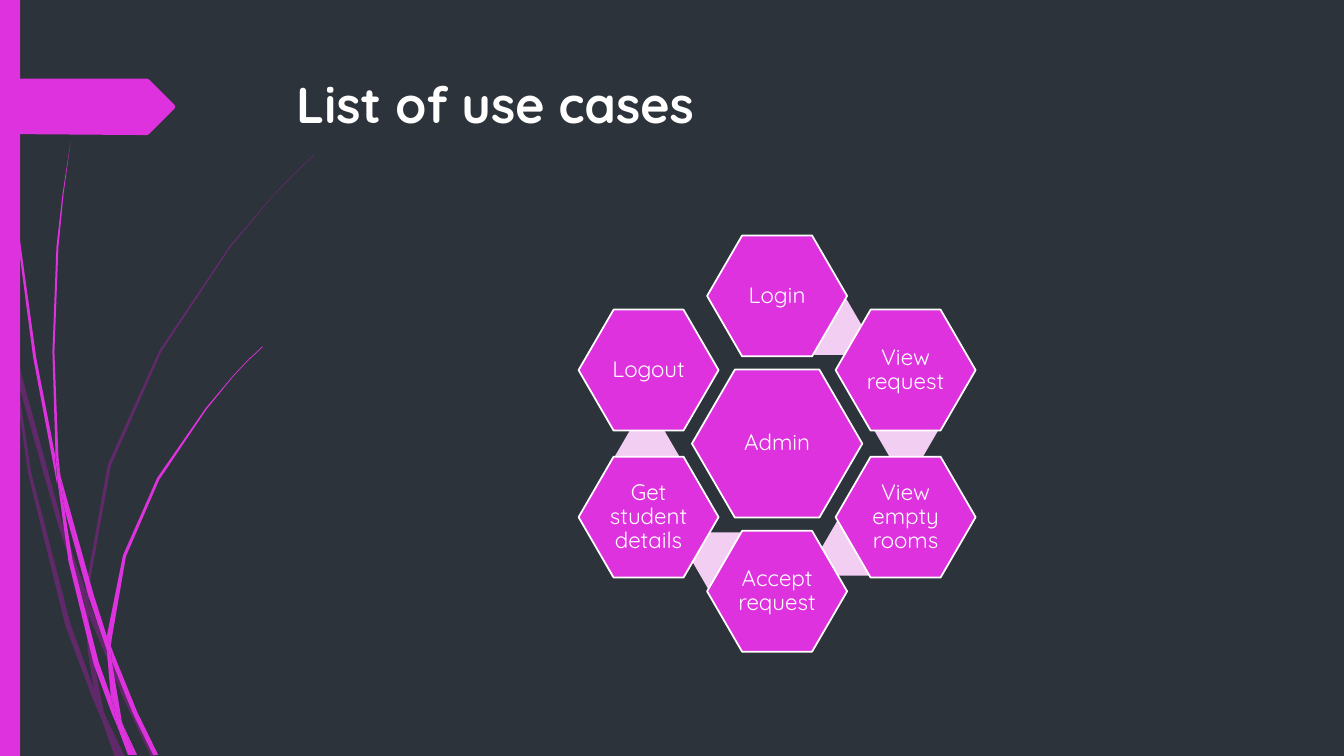
import lxml.etree
import pptx
import pptx.dml.color
import pptx.enum.shapes
import pptx.enum.text
import pptx.oxml.ns
import pptx.util

Pt = pptx.util.Pt
COLOURS = {"background": "2C333A", "accent": "DE32DE", "wisp": "B01CB0",
           "link": "F2CEF2", "text": "FFFFFF"}
FONT = "Quicksand"
GRID = Pt(0.72)  # one unit of the outlines below

CENTRE = (555.1, 316.9)
ADMIN_SIZE = (121.7, 105.8)
USE_CASE_SIZE = (100, 86.4)
LINK_SIZE = (46, 39.6)
# Use case, its offset from the centre, offset of the link drawn before it
USE_CASES = [
    ("Login", (0, -105.5), (38.2, -83.2)),
    ("View request", (91.8, -52.5), (92.2, -9.7)),
    ("View empty rooms", (91.8, 52.5), (54.7, 74.5)),
    ("Accept request", (0, 105.5), (-38.2, 83.2)),
    ("Get student details", (-91.8, 52.5), (-92.9, 9)),
    ("Logout", (-91.8, -52.5), None),
]

FAINT_WISPS = [
    [(11, 350), (9, 322), (0, 282), (0, 299), (10, 344)],
    [(58, 522), (84, 599), (85, 586), (62, 520), (14, 345), (17, 376)],
    [(92, 607), (88, 596), (88, 610), (123, 694), (150, 751), (155, 751),
     (127, 692)],
    [(119, 751), (124, 751), (105, 711)],
    [(93, 683), (70, 619), (31, 469), (17, 376), (11, 350), (28, 470),
     (65, 621), (92, 693), (101, 714), (99, 707)],
    [(84, 599), (87, 646), (93, 683), (96, 692), (105, 711), (103, 706),
     (91, 646), (88, 610), (88, 608)],
    [(88, 584), (110, 462), (160, 349), (229, 245), (268, 198), (290, 175),
     (312, 154), (312, 153), (289, 175), (268, 197), (228, 244), (158, 348),
     (107, 461), (85, 584), (85, 586), (88, 596)],
    [(101, 714), (114, 751), (119, 751)],
    [(88, 608), (88, 610), (88, 596), (85, 586), (84, 599)],
    [(96, 692), (93, 683), (99, 707), (101, 714), (119, 751), (105, 711)],
]
BRIGHT_WISPS = [
    [(7, 110), (17, 233), (33, 355), (56, 477), (57, 481), (55, 457),
     (55, 453), (36, 355), (19, 232), (8, 109), (5, 48), (4, 0), (3, 0),
     (4, 48)],
    [(88, 592), (106, 645), (106, 631), (93, 590), (60, 472), (64, 505)],
    [(113, 649), (110, 641), (111, 656), (132, 708), (152, 749), (157, 749),
     (136, 706)],
    [(110, 691), (98, 657), (72, 556), (64, 505), (57, 477), (68, 557),
     (93, 659), (111, 708), (117, 722), (116, 717)],
    [(60, 472), (58, 453), (54, 349), (58, 245), (63, 193), (70, 141),
     (62, 193), (56, 245), (52, 349), (55, 449)],
    [(133, 749), (136, 749), (122, 719)],
    [(57, 477), (64, 505), (60, 472), (55, 449), (55, 453)],
    [(111, 633), (125, 552), (158, 476), (205, 406), (231, 374), (245, 359),
     (261, 344), (260, 344), (245, 358), (231, 373), (204, 405), (156, 474),
     (122, 551), (106, 631), (110, 641)],
    [(117, 722), (127, 749), (131, 749)],
    [(106, 645), (110, 691), (116, 706), (122, 719), (121, 716), (111, 656),
     (109, 651)],
    [(106, 645), (109, 651), (111, 656), (110, 641), (106, 631)],
    [(116, 706), (110, 691), (116, 717), (117, 722), (130, 749), (133, 749),
     (122, 719)],
]
BANNER = [(173, 108), (148, 133), (146, 134), (136, 134), (0, 133), (0, 78),
          (146, 78), (148, 79), (173, 104), (174, 106)]


def set_attributes(target, values):
    """Set each named attribute of target."""
    for name, value in values.items():
        setattr(target, name, value)


def rgb(name):
    """Return the named colour."""
    return pptx.dml.color.RGBColor.from_string(COLOURS[name])


def paint(shape, colour, outline=None, opacity=None):
    """Give a shape a flat fill, an optional outline and no shadow."""
    shape.shadow.inherit = False
    shape.fill.solid()
    shape.fill.fore_color.rgb = rgb(colour)
    if outline:
        shape.line.color.rgb = rgb(outline)
        shape.line.width = Pt(1.25)
    else:
        shape.line.fill.background()
    if opacity:
        tag = pptx.oxml.ns.qn("a:srgbClr")
        element = next(shape.fill._xPr.iter(tag))
        alpha = lxml.etree.SubElement(element, pptx.oxml.ns.qn("a:alpha"))
        alpha.set("val", str(opacity * 1000))


def write(shape, text, frame_values, paragraph_values, font_values):
    """Write one formatted paragraph into a shape."""
    frame = shape.text_frame
    frame.text = text
    paragraph = frame.paragraphs[0]
    font = paragraph.runs[0].font
    set_attributes(frame, {"word_wrap": True, **frame_values})
    set_attributes(paragraph, paragraph_values)
    set_attributes(font, {"name": FONT, **font_values})
    font.color.rgb = rgb("text")


def add_outline(slide, points, colour, opacity=None):
    """Add a closed outline given in grid units."""
    builder = slide.shapes.build_freeform(*points[0], scale=GRID)
    builder.add_line_segments(points[1:], close=True)
    paint(builder.convert_to_shape(), colour, opacity=opacity)


def add_hexagon(slide, offset, size, colour, outline=None):
    """Add a hexagon whose middle lies at an offset from the centre."""
    left, top = (middle + shift - length / 2
                 for middle, shift, length in zip(CENTRE, offset, size))
    shape = slide.shapes.add_shape(
        pptx.enum.shapes.MSO_SHAPE.HEXAGON,
        Pt(left), Pt(top), Pt(size[0]), Pt(size[1]))
    shape.adjustments[0] = 0.29
    paint(shape, colour, outline)
    return shape


def add_labelled_hexagon(slide, text, offset, size):
    """Add an outlined hexagon with a centred label."""
    shape = add_hexagon(slide, offset, size, "accent", "text")
    margins = {f"margin_{side}": Pt(1.6)
               for side in ("left", "right", "top", "bottom")}
    write(shape, text,
          {"vertical_anchor": pptx.enum.text.MSO_ANCHOR.MIDDLE, **margins},
          {"alignment": pptx.enum.text.PP_ALIGN.CENTER, "line_spacing": 0.9},
          {"size": Pt(16)})


def add_decoration(slide):
    """Add the wisps, the side bar and the banner."""
    for points in FAINT_WISPS:
        add_outline(slide, points, "wisp", 40)
    for points in BRIGHT_WISPS:
        add_outline(slide, points, "accent")
    bar = slide.shapes.add_shape(
        pptx.enum.shapes.MSO_SHAPE.RECTANGLE, 0, 0, Pt(14.4), Pt(540))
    paint(bar, "accent")
    add_outline(slide, BANNER, "accent")


def add_title(slide, text):
    """Add the slide title."""
    box = slide.shapes.add_textbox(Pt(204.5), Pt(49), Pt(702), Pt(100.8))
    write(box, text, {}, {}, {"size": Pt(36), "bold": True})


def main():
    """Build and save the slide."""
    presentation = pptx.Presentation()
    set_attributes(presentation,
                   {"slide_width": Pt(960), "slide_height": Pt(540)})
    slide = presentation.slides.add_slide(presentation.slide_layouts[6])
    slide.background.fill.solid()
    slide.background.fill.fore_color.rgb = rgb("background")
    add_decoration(slide)
    add_title(slide, "List of use cases")
    add_labelled_hexagon(slide, "Admin", (0, 0), ADMIN_SIZE)
    for text, offset, link_offset in USE_CASES:
        if link_offset:
            add_hexagon(slide, link_offset, LINK_SIZE, "link")
        add_labelled_hexagon(slide, text, offset, USE_CASE_SIZE)
    presentation.save("out.pptx")


main()
